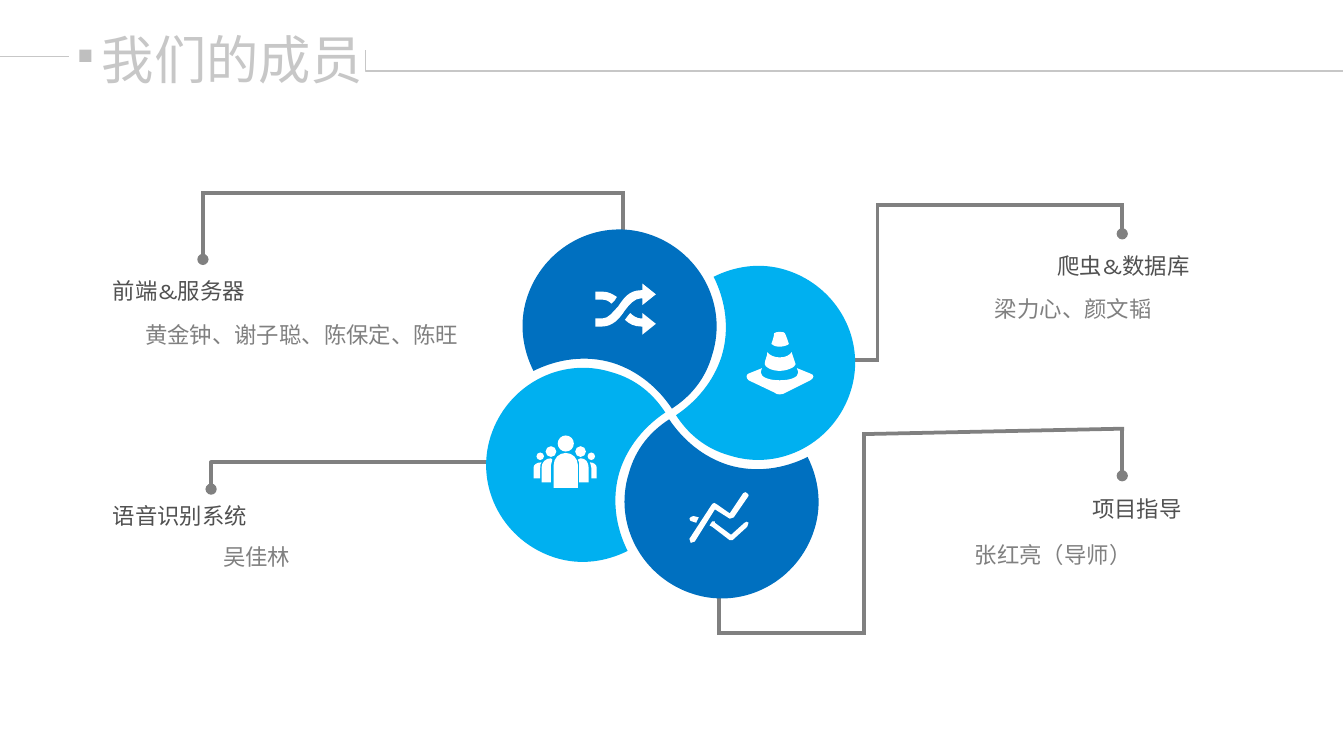
import pptx
import pptx.dml.color
import pptx.enum.shapes
import pptx.enum.text
import pptx.oxml.ns
import pptx.util
import lxml.etree

Pt = pptx.util.Pt
RGB = pptx.dml.color.RGBColor.from_string
Align = pptx.enum.text.PP_ALIGN
Anchor = pptx.enum.text.MSO_ANCHOR
Fit = pptx.enum.text.MSO_AUTO_SIZE
Kind = pptx.enum.shapes.MSO_CONNECTOR
qn = pptx.oxml.ns.qn

COLORS = {"sky": "00B0F0", "blue": "0070C0", "white": "FFFFFF", "branch": "808080",
          "label": "515151", "name": "808080", "title": "C7C7C7", "square": "BFBFBF"}
CJK = "Noto Sans CJK SC"
UNIT = Pt(0.72)
CENTER = (499, 308)

deck = pptx.Presentation()
deck.slide_width, deck.slide_height = Pt(720), Pt(405)
page = deck.slides.add_slide(deck.slide_layouts[6])


def add_line(kind, begin, end, color, width, dot=False):
    line = page.shapes.add_connector(kind, *[Pt(value) for value in begin + end])
    line.line.color.rgb = RGB(COLORS[color])
    line.line.width = Pt(width)
    properties = line._element.spPr
    stroke = properties.find(qn("a:ln"))
    stroke.set("cap", "sq")
    if dot:
        lxml.etree.SubElement(stroke, qn("a:headEnd"), type="oval")
    lxml.etree.SubElement(properties, qn("a:effectLst"))
    return line


def add_outline(outline, color, turns=0, closed=True):
    contours, kinds, tokens = [], [], iter(outline.split())
    for token in tokens:
        group = [token[1:]]
        if token[0] == "C":
            group += [next(tokens), next(tokens)]
        points = [tuple(float(value) for value in pair.split(",")) for pair in group]
        for turn in range(turns):
            points = [(CENTER[0] - y + CENTER[1], CENTER[1] + x - CENTER[0]) for x, y in points]
        if token[0] == "M":
            contours.append(points)
        else:
            contours[-1] += points
            kinds.append(token[0])
    builder = None
    for contour in contours:
        scaled = [(x * UNIT, y * UNIT) for x, y in contour]
        if builder is None:
            builder = page.shapes.build_freeform(*scaled[0], scale=1.0)
        else:
            builder.move_to(*scaled[0])
        builder.add_line_segments(scaled[1:], close=closed)
    shape = builder.convert_to_shape()
    nodes = iter(list(shape._element.spPr.iter(qn("a:lnTo"))))
    for kind in kinds:
        node = next(nodes)
        if kind == "C":
            node.tag = qn("a:cubicBezTo")
            for follower in (next(nodes), next(nodes)):
                node.append(follower[0])
                follower.getparent().remove(follower)
    shape.shadow.inherit = False
    if closed:
        shape.fill.solid()
        shape.fill.fore_color.rgb = RGB(COLORS[color])
        shape.line.fill.background()
    else:
        shape.fill.background()
        shape.line.color.rgb = RGB(COLORS[color])
        shape.line.width = Pt(1)


elbow = add_line(Kind.ELBOW, (198.72, 333.36), (184.32, 176.4), "branch", 2, True)
elbow._element.spPr.find(qn("a:xfrm")).set("rot", "5400000")
elbow._element.spPr.find(qn("a:prstGeom")).set("prst", "bentConnector2")

branches = [
    [(108.72, 138.96), (108.72, 103.32), (333.72, 103.32), (333.72, 126.72)],
    [(601.2, 125.28), (601.2, 109.8), (470.16, 109.8), (470.16, 193), (454.32, 193)],
    [(601.2, 254.88), (601.2, 229.68), (462.96, 232.56), (462.96, 339.12),
     (385.2, 339.12), (385.2, 313.92)],
]
for branch in branches:
    for index, (begin, end) in enumerate(zip(branch, branch[1:])):
        add_line(Kind.STRAIGHT, begin, end, "branch", 2, index == 0)

petal = ("M461,351 C467,332 480,317 495,307 C486,293 473,282 455,277 C417,265 377,287 365,325 "
         "C353,363 375,403 413,415 C432,421 451,418 467,410 C458,392 455,371 461,351")
for turns in range(4):
    add_outline(petal, ("sky", "blue")[turns % 2], turns)

heads = [(440, 339.5, 2.8), (402, 339.5, 2.8), (432, 336, 4), (410, 336, 4), (421, 330, 6)]
people = ("M444,356 L440,356 L440,348 C440,346 439,345 439,344 C442,344 444,346 444,348 "
          "M403,344 C402,345 402,346 402,348 L402,356 L397,356 L397,348 C397,346 399,344 403,344 "
          "M438,359 L431,359 L431,346 C431,345 431,343 430,342 L432,341 C436,341 438,344 438,348 "
          "M410,346 L410,359 L403,359 L403,348 C403,344 406,341 410,341 L411,342 C411,343 410,345 410,346 "
          "M412,363 L430,363 L430,346 C430,341 426,337 421,337 C416,337 412,341 412,346")
for x, y, r in heads:
    k = 0.55 * r
    people += (f" M{x},{y - r} C{x - k},{y - r} {x - r},{y - k} {x - r},{y}"
               f" C{x - r},{y + k} {x - k},{y + r} {x},{y + r}"
               f" C{x + k},{y + r} {x + r},{y + k} {x + r},{y}"
               f" C{x + r},{y - k} {x + k},{y - r} {x},{y - r}")
trend = ("M532,379 L543,386 C544,386 545,386 546,385 L557,369 C557,369 557,367 556,367 C555,366 554,366 553,367 "
         "L543,382 L533,375 C532,374 531,374 530,375 L513,401 C513,402 513,403 514,404 C515,404 516,404 517,403 "
         "M554,389 L544,398 L532,389 L532,388 L530,388 L528,391 L530,392 L543,402 "
         "C543,402 544,402 545,402 L556,392 C557,391 557,390 557,389 C556,388 555,388 554,389 "
         "M515,388 L518,389 L520,385 L516,384 C515,384 513,385 513,386 C513,387 514,388 515,388")
shuffle = ("M478,237 L477,237 C474,237 471,235 469,233 L468,234 C467,235 466,237 465,238 "
           "C468,241 472,243 477,243 L478,243 L478,249 L488,241 L478,233 "
           "M455,226 L456,225 C457,224 458,223 459,221 C456,219 453,217 448,217 L443,217 "
           "L443,223 L448,223 C451,223 453,224 455,226 "
           "M477,222 L478,222 L478,227 L488,219 L478,211 L478,216 L477,216 C468,216 464,222 460,228 "
           "C456,232 453,237 448,237 L443,237 L443,243 L448,243 C456,243 461,237 465,231 C468,227 472,222 477,222")
cone = ("M603,278 L593,274 L594,277 C594,281 588,283 580,283 C573,283 566,281 566,277 L567,274 L557,278 "
        "C555,279 555,281 557,283 L576,292 C578,294 582,294 585,292 L603,283 C606,281 606,279 603,278 "
        "M580,258 C583,258 586,257 587,256 C586,253 585,250 584,248 C584,247 582,247 580,247 "
        "C579,247 577,247 576,248 C576,250 575,253 574,256 C575,257 577,258 580,258 "
        "M580,276 C586,276 592,273 592,271 C591,268 590,265 589,262 C588,264 585,266 580,266 "
        "C576,266 572,264 571,262 C571,265 569,268 569,271 C569,273 574,276 580,276")
for icon in (people, trend, shuffle, cone):
    add_outline(icon, "white")

add_outline("M999,53 L272,53 L272,37", "title", closed=False)
add_line(Kind.STRAIGHT, (0, 30.24), (36.72, 30.24), "title", 0.75)
square = page.shapes.add_shape(pptx.enum.shapes.MSO_SHAPE.RECTANGLE, Pt(42.48), Pt(26.64), Pt(6.48), Pt(6.48))
square.shadow.inherit = False
square.fill.solid()
square.fill.fore_color.rgb = RGB(COLORS["square"])
square.line.fill.background()

label_frame = {"vertical_anchor": Anchor.MIDDLE}
name_frame = {"margin_left": 0, "margin_top": 0, "margin_right": 0, "margin_bottom": 0,
              "auto_size": Fit.SHAPE_TO_FIT_TEXT}
styles = {
    "label": (label_frame, {"name": "Karla", "size": Pt(12)}),
    "name": (name_frame, {"name": CJK, "size": Pt(12)}),
    "title": ({}, {"name": CJK, "size": Pt(28)}),
}
texts = [
    ("前端&服务器", "label", (53.28, 144, 118.8, 23.76), {}),
    ("黄金钟、谢子聪、陈保定、陈旺", "name", (77.76, 172.08, 169.92, 14.4), {}),
    ("语音识别系统", "label", (53.28, 268.56, 118.8, 15.12), {}),
    ("吴佳林", "name", (83.52, 290.88, 169.92, 14.4), {"level": 1}),
    ("项目指导", "label", (521.28, 264.96, 118.8, 15.12), {"alignment": Align.RIGHT}),
    ("张红亮（导师）", "name", (436.32, 290.16, 169.92, 14.4), {"alignment": Align.RIGHT}),
    ("爬虫&数据库", "label", (525.6, 134.64, 118.8, 15.12), {"alignment": Align.RIGHT}),
    ("梁力心、颜文韬", "name", (447.12, 158.4, 169.92, 14.4), {"alignment": Align.RIGHT}),
    ("我们的成员", "title", (45.36, 10.8, 158.4, 36.72), {"alignment": Align.CENTER}),
]
for words, style, place, layout in texts:
    box = page.shapes.add_textbox(*[Pt(value) for value in place])
    frame = box.text_frame
    frame.word_wrap = True
    para = frame.paragraphs[0]
    span = para.add_run()
    span.text = words
    frame_format, font_format = styles[style]
    for target, values in ((frame, frame_format), (para, layout), (span.font, font_format)):
        for attribute, value in values.items():
            setattr(target, attribute, value)
    span.font.color.rgb = RGB(COLORS[style])
    lxml.etree.SubElement(span.font._element, qn("a:ea"), typeface=CJK)

deck.save("out.pptx")
